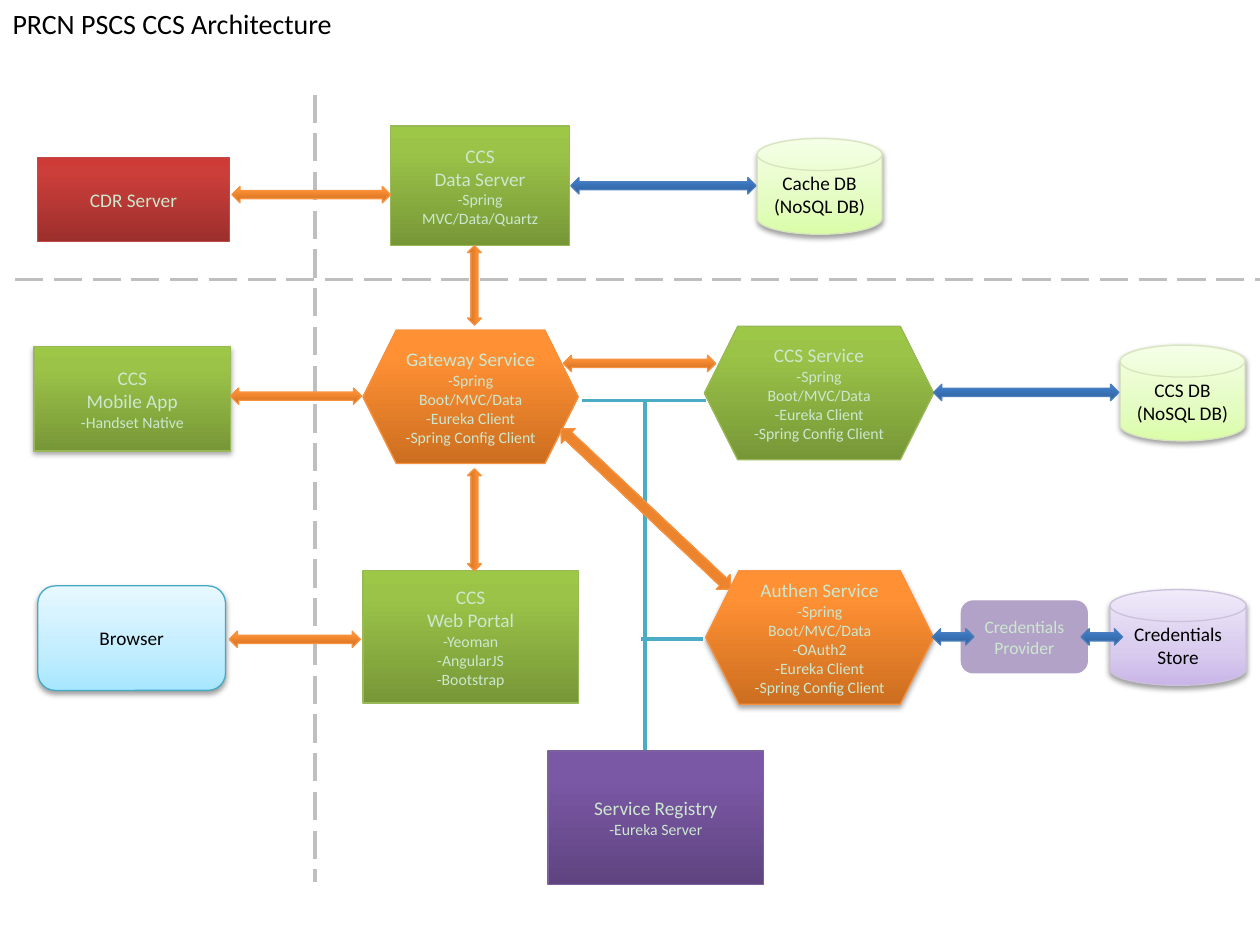
from copy import deepcopy

from lxml import etree
from pptx import Presentation
from pptx.dml.color import RGBColor
from pptx.enum.dml import MSO_LINE
from pptx.enum.shapes import MSO_CONNECTOR, MSO_SHAPE
from pptx.enum.text import MSO_ANCHOR, MSO_AUTO_SIZE, PP_ALIGN
from pptx.oxml.ns import qn
from pptx.util import Inches, Pt

RECT = MSO_SHAPE.RECTANGLE
ROUND = MSO_SHAPE.ROUNDED_RECTANGLE
HEXAGON = MSO_SHAPE.HEXAGON
DISK = MSO_SHAPE.FLOWCHART_MAGNETIC_DISK
ARROW = MSO_SHAPE.LEFT_RIGHT_ARROW

COLORS = {"pale": "CCE8CF", "black": "000000", "bus": "4BACC6", "divider": "BFBFBF"}

# Outline, then gradient stops from bottom to top; one stop means a plain fill
STYLES = {
    "orange": ("F69240", [(0, "CC6E20"), (0.8, "FF9034"), (1, "FF9136")]),
    "green": ("98B955", [(0, "779737"), (0.8, "9BC348"), (1, "9DC746")]),
    "purple": ("7D60A0", [(0, "5F4480"), (0.8, "7B58A6"), (1, "7C57A8")]),
    "red": ("BF4C48", [(0, "9C2F2D"), (0.8, "CB3E3A"), (1, "CE3B37")]),
    "blue": ("4B7EBC", [(0, "2F5F99"), (0.8, "3D7CC7"), (1, "3A7CCB")]),
    "lime": ("D7E4BD", [(0, "DAFDA7"), (0.35, "E4FCC2"), (1, "F5FFE7")]),
    "lilac": ("CCC1DA", [(0, "C9B5E8"), (0.35, "D8CBEE"), (1, "F0EAF9")]),
    "sky": ("46AAC5", [(0, "A7E6FF"), (0.35, "C1EDFF"), (1, "E7F8FF")]),
    "mauve": ("B3A2C7", [(0, "B3A2C7")]),
}
DARK_TEXT = ("lime", "lilac", "sky")

# Preset, style, left, top, width, height, shadow opacity, heading size, text
SPRING = "-Spring Boot/MVC/Data"
CLIENTS = "-Eureka Client\n-Spring Config Client"
NODES = [
    (HEXAGON, "orange", 2.88, 2.62, 1.71, 1.06, 0, 11, f"Gateway Service\n{SPRING}\n{CLIENTS}"),
    (RECT, "green", 0.27, 2.75, 1.56, 0.83, 35, 11, "CCS\nMobile App\n-Handset Native"),
    (RECT, "purple", 4.35, 5.96, 1.71, 1.06, 0, 11, "Service Registry\n-Eureka Server"),
    (HEXAGON, "green", 5.59, 2.59, 1.82, 1.06, 0, 11, f"CCS Service\n{SPRING}\n{CLIENTS}"),
    (HEXAGON, "orange", 5.6, 4.53, 1.81, 1.06, 35, 11,
     f"Authen Service\n{SPRING}\n-OAuth2\n{CLIENTS}"),
    (DISK, "lime", 8.89, 2.74, 0.99, 0.76, 38, 11, "CCS DB\n(NoSQL DB)"),
    (ROUND, "mauve", 7.63, 4.77, 1, 0.57, 0, 10, "Credentials Provider"),
    (DISK, "lilac", 8.81, 4.68, 1.08, 0.76, 38, 11, "Credentials Store"),
    (RECT, "green", 2.88, 4.53, 1.71, 1.05, 0, 11,
     "CCS\nWeb Portal\n-Yeoman\n-AngularJS\n-Bootstrap"),
    (RECT, "green", 3.1, 1, 1.42, 0.95, 0, 11, "CCS\nData Server\n-Spring MVC/Data/Quartz"),
    (ROUND, "sky", 0.3, 4.65, 1.49, 0.83, 38, 11, "Browser"),
    (DISK, "lime", 6.01, 1.1, 0.99, 0.76, 38, 11, "Cache DB\n(NoSQL DB)"),
    (RECT, "red", 0.3, 1.25, 1.52, 0.67, 0, 11, "CDR Server"),
]

# Style, left, top, width, height, rotation
FLOWS = [
    ("blue", 8.58, 4.99, 0.33, 0.13, 0),
    ("blue", 7.4, 4.99, 0.33, 0.13, 0),
    ("blue", 7.41, 3.05, 1.47, 0.13, 0),
    ("blue", 4.53, 1.41, 1.47, 0.13, 0),
    ("orange", 4.47, 2.82, 1.21, 0.13, 0),
    ("orange", 4.2, 3.96, 1.85, 0.16, 43.3),
    ("orange", 3.45, 2.21, 0.63, 0.11, 90),
    ("orange", 3.36, 4.07, 0.81, 0.11, 90),
    ("orange", 1.83, 3.08, 1.04, 0.13, 0),
    ("orange", 1.82, 5.01, 1.04, 0.13, 0),
    ("orange", 1.84, 1.48, 1.26, 0.13, 0),
]

# Colour, dash, start x, start y, end x, end y
LINES = [
    ("divider", MSO_LINE.LONG_DASH, 2.5, 0.75, 2.5, 7),
    ("divider", MSO_LINE.LONG_DASH, 0.12, 2.22, 10, 2.22),
    ("bus", None, 5.12, 3.18, 5.12, 5.96),
    ("bus", None, 4.62, 3.18, 5.6, 3.18),
    ("bus", None, 5.09, 5.07, 5.58, 5.07),
]

prs = Presentation()
prs.slide_width, prs.slide_height = Inches(10), Inches(7.5)
slide = prs.slides.add_slide(prs.slide_layouts[5])


def add_styled(preset, style, box):
    """Add a preset shape with the outline and fill of a named style."""
    shape = slide.shapes.add_shape(preset, *map(Inches, box))
    shape.shadow.inherit = False
    outline, stops = STYLES[style]
    shape.line.color.rgb = RGBColor.from_string(outline)
    shape.line.width = Pt(0.75)
    if len(stops) == 1:
        shape.fill.solid()
        shape.fill.fore_color.rgb = RGBColor.from_string(stops[0][1])
        return shape
    shape.fill.gradient()
    shape.fill.gradient_angle = 90
    stop_list = shape._element.spPr.find(qn("a:gradFill")).find(qn("a:gsLst"))
    stop_list.append(deepcopy(stop_list[0]))
    for stop, (position, color) in zip(shape.fill.gradient_stops, stops):
        stop.position = position
        stop.color.rgb = RGBColor.from_string(color)
    return shape


def add_shadow(shape, opacity):
    """Give a shape a soft shadow straight below it."""
    effects = shape._element.spPr.find(qn("a:effectLst"))
    shadow = etree.SubElement(effects, qn("a:outerShdw"), blurRad="40000",
                              dist="20000", dir="5400000", rotWithShape="0")
    color = etree.SubElement(shadow, qn("a:srgbClr"), val=COLORS["black"])
    etree.SubElement(color, qn("a:alpha"), val=str(opacity * 1000))


title = slide.shapes.title
title.left, title.top, title.width, title.height = map(Inches, (0, 0, 2.77, 0.37))
title.text = "PRCN PSCS CCS Architecture"
frame_format = {"auto_size": MSO_AUTO_SIZE.NONE, "word_wrap": False,
                "vertical_anchor": MSO_ANCHOR.TOP}
for attribute, value in frame_format.items():
    setattr(title.text_frame, attribute, value)
heading = title.text_frame.paragraphs[0]
heading.alignment = PP_ALIGN.LEFT
heading.font.name, heading.font.size = "Calibri", Pt(16)
heading.font.color.rgb = RGBColor.from_string(COLORS["black"])

for color, dash, *ends in LINES:
    line = slide.shapes.add_connector(MSO_CONNECTOR.STRAIGHT, *map(Inches, ends))
    line.line.color.rgb = RGBColor.from_string(COLORS[color])
    line.line.width = Pt(2)
    if dash:
        line.line.dash_style = dash
    etree.SubElement(line._element.spPr, qn("a:effectLst"))

for preset, style, left, top, width, height, opacity, size, text in NODES:
    node = add_styled(preset, style, (left, top, width, height))
    if opacity:
        add_shadow(node, opacity)
    node.text_frame.text = text
    node.text_frame.word_wrap = True
    node.text_frame.vertical_anchor = MSO_ANCHOR.MIDDLE
    text_color = COLORS["black" if style in DARK_TEXT else "pale"]
    for paragraph in node.text_frame.paragraphs:
        paragraph.alignment = PP_ALIGN.CENTER
        paragraph.font.name = "Calibri"
        paragraph.font.size = Pt(9 if paragraph.text.startswith("-") else size)
        paragraph.font.color.rgb = RGBColor.from_string(text_color)

for style, left, top, width, height, rotation in FLOWS:
    add_styled(ARROW, style, (left, top, width, height)).rotation = rotation

prs.save("out.pptx")
